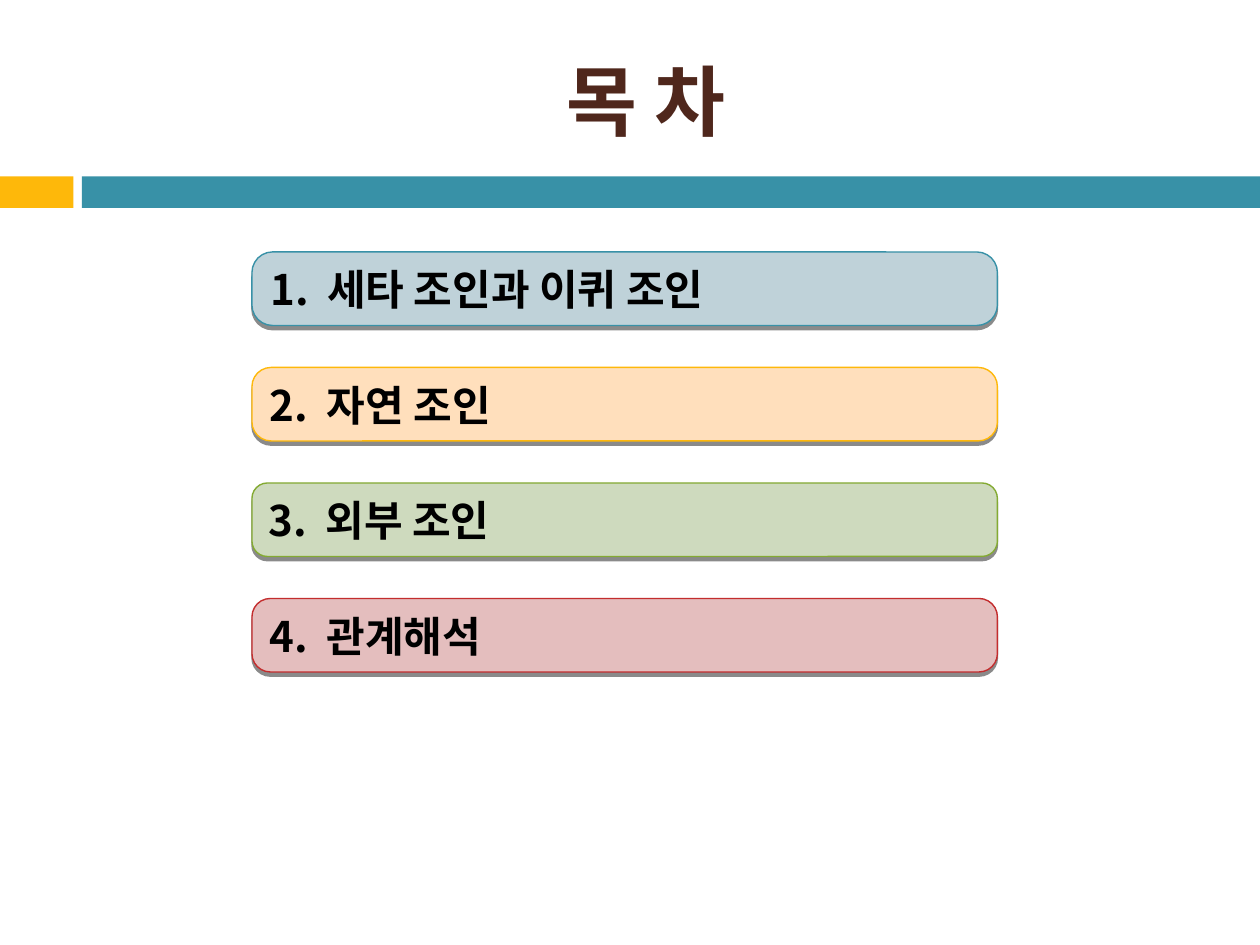
from pptx import Presentation
from pptx.dml.color import RGBColor
from pptx.enum.shapes import MSO_SHAPE
from pptx.enum.text import MSO_ANCHOR, PP_ALIGN
from pptx.oxml.ns import qn
from pptx.util import Pt
from lxml.etree import SubElement

PX = 914400 // 120  # 120 px to the inch
FONT = "Noto Sans CJK KR"
COLORS = {
    "title": "4F271C", "text": "000000", "shadow": "000000",
    "teal": "3891A7", "teal_light": "BFD2D9",
    "amber": "FEB80A", "amber_light": "FFDFBC",
    "green": "84AA33", "green_light": "CEDABE",
    "red": "C32D2E", "red_light": "E4BEBE",
}
# Text, colour name, corner rounding
TOPICS = [
    ("1.\t세타 조인과 이퀴 조인", "teal", 0.28),
    ("2.\t자연 조인", "amber", 0.26),
    ("3.\t외부 조인", "green", 0.21),
    ("4.\t관계해석", "red", 0.25),
]


def color(name):
    return RGBColor.from_string(COLORS[name])


def emu(*lengths):
    return [length * PX for length in lengths]


def add_text(shape, text, size, ink="text", align=PP_ALIGN.LEFT, tab=None):
    """Put one bold, vertically centred paragraph in a shape."""
    frame = shape.text_frame
    frame.word_wrap = True
    frame.vertical_anchor = MSO_ANCHOR.MIDDLE
    para = frame.paragraphs[0]
    para.alignment = align
    if tab:
        stops = SubElement(para._p.get_or_add_pPr(), qn("a:tabLst"))
        SubElement(stops, qn("a:tab"), pos=str(tab * PX), algn="l")
    span = para.add_run()
    span.text = text
    span.font.size = Pt(size)
    span.font.bold = True
    span.font.color.rgb = color(ink)
    span.font.name = FONT
    SubElement(span._r.get_or_add_rPr(), qn("a:ea"), typeface=FONT)


def add_box(page, kind, box, fill, line=None):
    shape = page.shapes.add_shape(kind, *emu(*box))
    shape.shadow.inherit = False
    shape.fill.solid()
    shape.fill.fore_color.rgb = color(fill)
    if line:
        shape.line.color.rgb = color(line)
        shape.line.width = Pt(0.79)
    else:
        shape.line.fill.background()
    return shape


def add_drop_shadow(shape):
    effects = shape._element.spPr.find(qn("a:effectLst"))
    shadow = SubElement(effects, qn("a:outerShdw"), blurRad="0",
                        dist=str(Pt(2.4)), dir="5400000", rotWithShape="0")
    ink = SubElement(shadow, qn("a:srgbClr"), val=COLORS["shadow"])
    SubElement(ink, qn("a:alpha"), val="45000")


def add_header(page, left, top, width):
    # Title
    title = page.shapes.add_textbox(*emu(left + 80, top + 30, 1070, 130))
    add_text(title, "목 차", 44, ink="title", align=PP_ALIGN.CENTER)
    # Two-colour band
    short, gap, height = 70, 8, 30
    band_top = top + 168
    add_box(page, MSO_SHAPE.RECTANGLE, (left, band_top, short, height), "amber")
    add_box(page, MSO_SHAPE.RECTANGLE,
            (left + short + gap, band_top, width - short - gap, height), "teal")


def add_topics(page, left, top, width, height):
    # Equal bars, with the last one ending at the bottom of the region
    bar_height = 70
    pitch = (height - bar_height) // (len(TOPICS) - 1)
    for index, (text, hue, rounding) in enumerate(TOPICS):
        bar = add_box(page, MSO_SHAPE.ROUNDED_RECTANGLE,
                      (left, top + index * pitch, width, bar_height),
                      f"{hue}_light", line=hue)
        bar.adjustments[0] = rounding
        add_drop_shadow(bar)
        add_text(bar, text, 24, tab=54)


def main():
    deck = Presentation()
    deck.slide_width, deck.slide_height = emu(1200, 900)
    page = deck.slides.add_slide(deck.slide_layouts[6])
    add_header(page, 0, 0, 1200)
    add_topics(page, 240, 240, 710, 400)
    deck.save("out.pptx")


if __name__ == "__main__":
    main()
